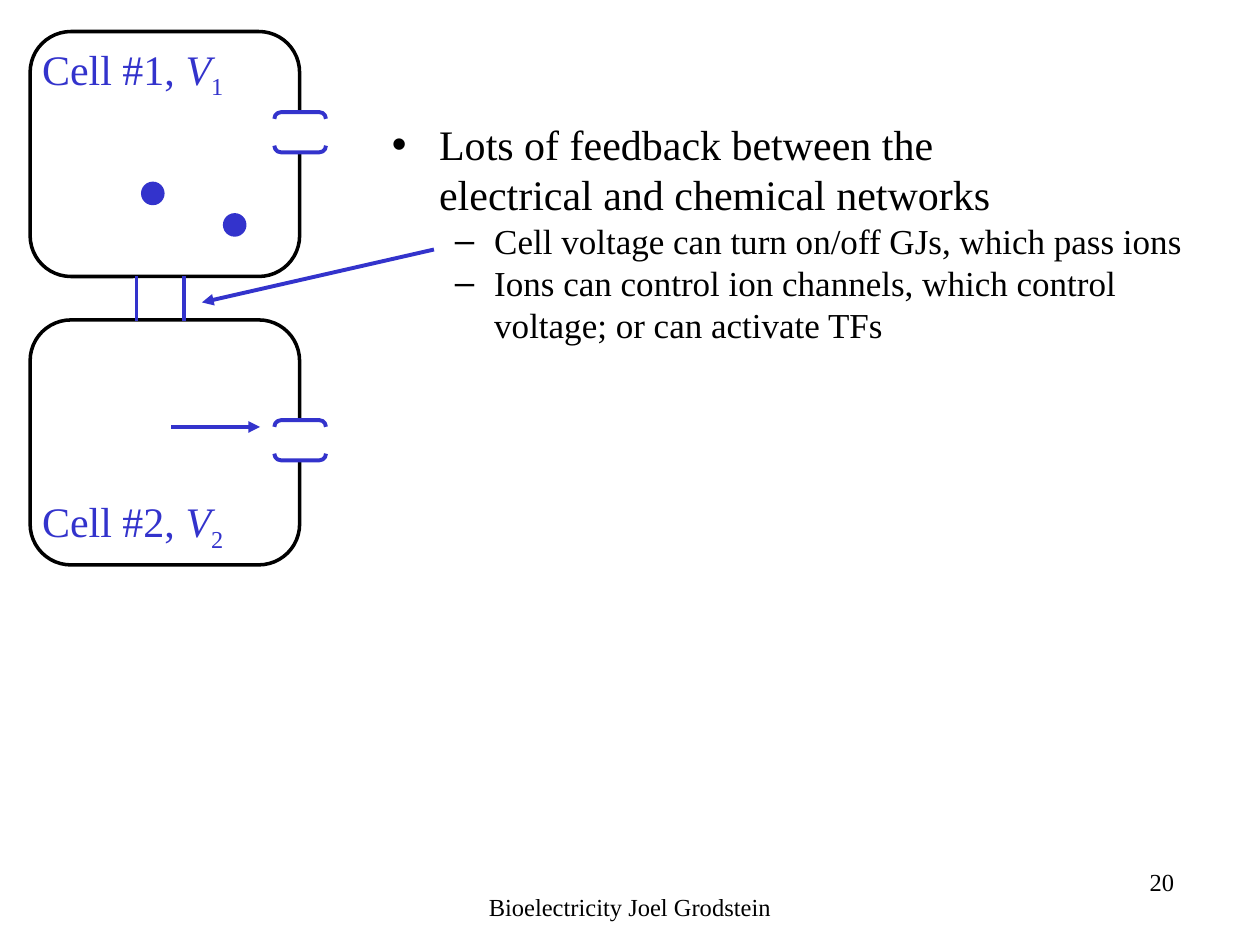
import pptx
import pptx.util
import pptx.dml.color
import pptx.enum.shapes
import pptx.enum.text
import pptx.oxml

Pt = pptx.util.Pt
SHAPE = pptx.enum.shapes.MSO_SHAPE
ALIGN = pptx.enum.text.PP_ALIGN
ANCHOR = pptx.enum.text.MSO_ANCHOR
NAMESPACE = 'xmlns:a="http://schemas.openxmlformats.org/drawingml/2006/main"'
BLUE, BLACK, WHITE = "3333CC", "000000", "FFFFFF"


def color(value):
    return pptx.dml.color.RGBColor.from_string(value)


def add_run(para, text, size, value):
    span = para.add_run()
    span.text = text
    span.font.name = "Times New Roman"
    span.font.size = Pt(size)
    span.font.color.rgb = color(value)
    return span


deck = pptx.Presentation()
deck.slide_width, deck.slide_height = Pt(720), Pt(540)
page = deck.slides.add_slide(deck.slide_layouts[1])
title = page.shapes.title.element
title.getparent().remove(title)

body = page.placeholders[1]
body.left, body.top, body.width, body.height = Pt(216.7), Pt(64.1), Pt(494), Pt(347.8)
frame = body.text_frame
frame.auto_size = pptx.enum.text.MSO_AUTO_SIZE.NONE
para = frame.paragraphs[0]
add_run(para, "Lots of feedback between the", 24, BLACK)
para.add_line_break()
add_run(para, "electrical and chemical networks", 24, BLACK)
for text in ["Cell voltage can turn on/off GJs, which pass ions",
             "Ions can control ion channels, which control voltage; or can activate TFs"]:
    para = frame.add_paragraph()
    para.level = 1
    para.space_before = Pt(0)
    add_run(para, text, 20, BLACK)

for text, left, top, height, inset_x, inset_y, align in [
        ("20", 450, 492, 36, 7.2, 3.6, ALIGN.RIGHT),
        ("Bioelectricity Joel Grodstein", 246, 510, 17, 0, 0, ALIGN.CENTER)]:
    box = page.shapes.add_textbox(Pt(left), Pt(top), Pt(228), Pt(height))
    frame = box.text_frame
    frame.word_wrap = True
    frame.margin_left = frame.margin_right = Pt(inset_x)
    frame.margin_top = frame.margin_bottom = Pt(inset_y)
    frame.paragraphs[0].alignment = align
    add_run(frame.paragraphs[0], text, 14, BLACK)

cell_tops = [18, 182.8]
for number, top, anchor, bottom_inset in [("1", cell_tops[0], ANCHOR.TOP, 3.6),
                                          ("2", cell_tops[1], ANCHOR.BOTTOM, 0)]:
    cell = page.shapes.add_shape(SHAPE.ROUNDED_RECTANGLE, Pt(17.2), Pt(top), Pt(154), Pt(140))
    cell.shadow.inherit = False
    cell.fill.background()
    cell.line.color.rgb = color(BLACK)
    cell.line.width = Pt(2)
    frame = cell.text_frame
    frame.vertical_anchor = anchor
    frame.margin_left = frame.margin_top = Pt(0)
    frame.margin_bottom = Pt(bottom_inset)
    para = frame.paragraphs[0]
    para.alignment = ALIGN.LEFT
    add_run(para, f"Cell #{number}, ", 24, BLUE)
    add_run(para, "V", 24, BLUE).font.italic = True
    subscript = add_run(para, number, 24, BLUE)
    subscript.font._element.set("baseline", "-25000")

for left, top in [(80.6, 103.8), (127.4, 121.8)]:
    ion = page.shapes.add_shape(SHAPE.OVAL, Pt(left), Pt(top), Pt(13.5), Pt(13.5))
    ion.shadow.inherit = False
    ion.fill.solid()
    ion.fill.fore_color.rgb = color(BLUE)
    ion.line.fill.background()

for top in [60.8, 236.8]:
    channel = page.shapes.add_shape(SHAPE.DOUBLE_BRACKET, Pt(160), Pt(top), Pt(23), Pt(29.5))
    channel.rotation = 270
    channel.shadow.inherit = False
    channel.fill.solid()
    channel.fill.fore_color.rgb = color(WHITE)
    channel.line.color.rgb = color(BLUE)
    channel.line.width = Pt(2.25)

for start_x, start_y, end_x, end_y, has_arrow in [
        (78, 157.8, 78, 183.4, False),
        (105.2, 157.8, 105.2, 183.4, False),
        (248, 142.6, 115.4, 172.8, True),
        (97.8, 244, 148.6, 244, True)]:
    line = page.shapes.add_connector(pptx.enum.shapes.MSO_CONNECTOR.STRAIGHT,
                                     Pt(start_x), Pt(start_y), Pt(end_x), Pt(end_y))
    line.line.color.rgb = color(BLUE)
    line.line.width = Pt(2.25)
    if has_arrow:
        line.line._get_or_add_ln().append(
            pptx.oxml.parse_xml(f'<a:tailEnd {NAMESPACE} type="triangle"/>'))
    line.element.spPr.append(pptx.oxml.parse_xml(f"<a:effectLst {NAMESPACE}/>"))

deck.save("out.pptx")
